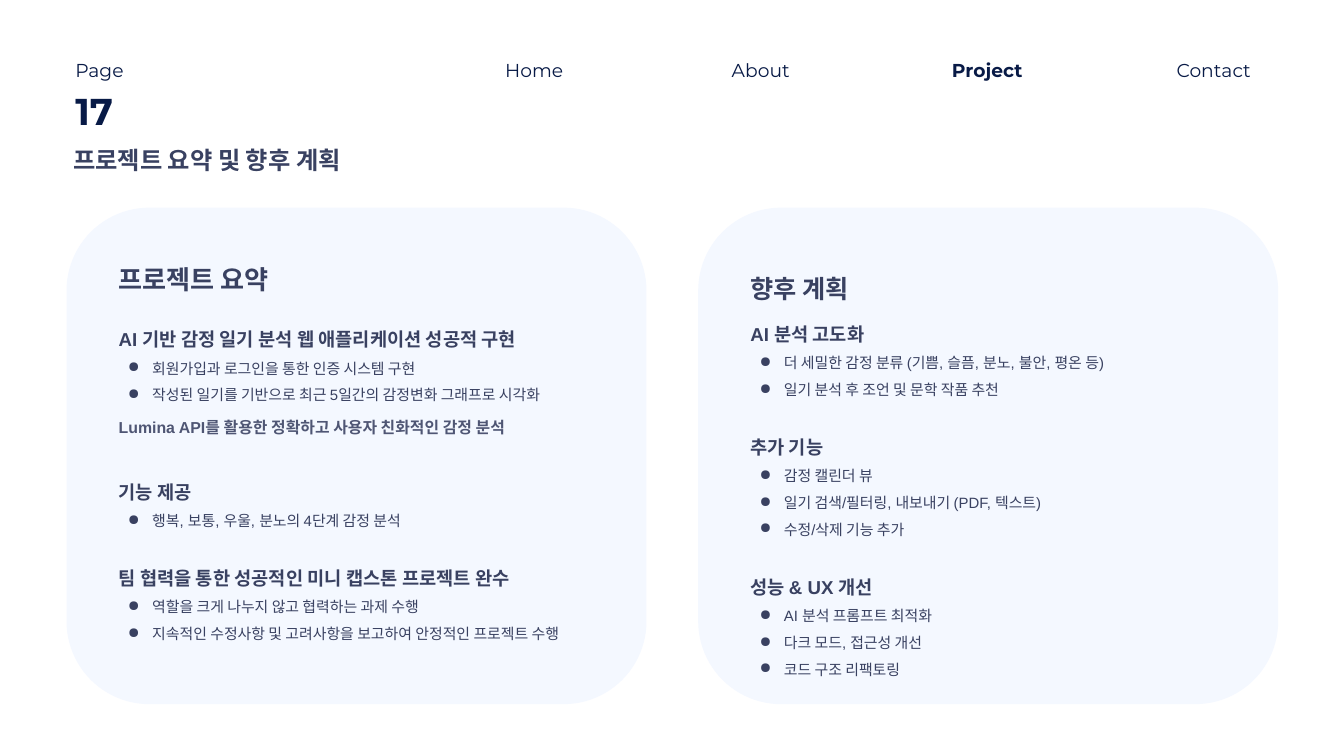
from dataclasses import dataclass

from lxml import etree
from pptx import Presentation
from pptx.dml.color import RGBColor
from pptx.enum.shapes import MSO_SHAPE
from pptx.enum.text import MSO_AUTO_SIZE, PP_ALIGN
from pptx.oxml.ns import qn
from pptx.util import Pt

ROUNDED = MSO_SHAPE.ROUNDED_RECTANGLE
GROW = MSO_AUTO_SIZE.SHAPE_TO_FIT_TEXT
LEFT, CENTER = PP_ALIGN.LEFT, PP_ALIGN.CENTER

NAVY = RGBColor(0x08, 0x1A, 0x46)
SLATE = RGBColor(0x39, 0x41, 0x61)
MUTED = RGBColor(0x4F, 0x56, 0x74)
PANEL_FILL = RGBColor(0xF4, 0xF8, 0xFF)

LATIN, BODY = "Montserrat", "Arial"
MENU = ["Home", "About", "Project", "Contact"]
CURRENT_PAGE = "Project"


@dataclass
class Topic:
    """A bold heading with its bullets and the gap above it."""
    heading: str
    bullets: list
    gap: float = 0
    size: float = 20
    color: RGBColor = SLATE


@dataclass
class Panel:
    """A panel title, its placement and the topics below it."""
    title: str
    title_size: float
    title_spacing: float
    title_top: float
    topics_top: float
    topics: list


SUMMARY = Panel("프로젝트 요약", 28, 1, 53.3, 110.2, [
    Topic("AI 기반 감정 일기 분석 웹 애플리케이션 성공적 구현", [
        "회원가입과 로그인을 통한 인증 시스템 구현",
        "작성된 일기를 기반으로 최근 5일간의 감정변화 그래프로 시각화",
    ]),
    Topic("Lumina API를 활용한 정확하고 사용자 친화적인 감정 분석", [], 5, 17, MUTED),
    Topic("기능 제공", ["행복, 보통, 우울, 분노의 4단계 감정 분석"], 34.5),
    Topic("팀 협력을 통한 성공적인 미니 캡스톤 프로젝트 완수", [
        "역할을 크게 나누지 않고 협력하는 과제 수행",
        "지속적인 수정사항 및 고려사항을 보고하여 안정적인 프로젝트 수행",
    ], 27.6),
])

PLANS = Panel("향후 계획", 27, 1.5, 47.5, 104.4, [
    Topic("AI 분석 고도화", [
        "더 세밀한 감정 분류 (기쁨, 슬픔, 분노, 불안, 평온 등)",
        "일기 분석 후 조언 및 문학 작품 추천",
    ]),
    Topic("추가 기능", [
        "감정 캘린더 뷰",
        "일기 검색/필터링, 내보내기 (PDF, 텍스트)",
        "수정/삭제 기능 추가",
    ], 27.6),
    Topic("성능 & UX 개선", [
        "AI 분석 프롬프트 최적화",
        "다크 모드, 접근성 개선",
        "코드 구조 리팩토링",
    ], 27.6),
])


def add_frame(slide, left, top, width, height, inset_x=0, inset_y=0):
    """Add a wrapping text box and return its text frame."""
    frame = slide.shapes.add_textbox(Pt(left), Pt(top), Pt(width), Pt(height)).text_frame
    frame.word_wrap = True
    frame.auto_size = GROW
    frame.margin_left = frame.margin_right = Pt(inset_x)
    frame.margin_top = frame.margin_bottom = Pt(inset_y)
    return frame


def write(paragraph, text, size, color, font=BODY, bold=True, spacing=1.5, align=LEFT):
    """Write one styled run into a paragraph."""
    paragraph.alignment = align
    paragraph.line_spacing = spacing
    run = paragraph.add_run()
    run.text = text
    run.font.name = font
    run.font.size = Pt(size)
    run.font.bold = bold
    run.font.color.rgb = color


def add_bullet(paragraph):
    """Give a paragraph a hanging round bullet."""
    properties = paragraph._p.get_or_add_pPr()
    properties.set("marL", str(Pt(36)))
    properties.set("indent", str(-Pt(26)))
    bullet_color = etree.SubElement(properties, qn("a:buClr"))
    etree.SubElement(bullet_color, qn("a:srgbClr"), val=str(SLATE))
    etree.SubElement(properties, qn("a:buChar"), char="●")


def draw_header(slide, left, top, right):
    """Draw the page number, the menu and the slide title."""
    page_label = add_frame(slide, left, top, 101.5, 24.5)
    write(page_label.paragraphs[0], "Page", 20, NAVY, LATIN, False, 1.4)
    page_number = add_frame(slide, left, top + 21.6, 101.5, 48.2)
    write(page_number.paragraphs[0], "17", 40, NAVY, LATIN, True, 1.4)
    title = add_frame(slide, left - 2.2, top + 81.4, 409, 31.7)
    write(title.paragraphs[0], "프로젝트 요약 및 향후 계획", 26, SLATE, spacing=1.65)

    item_width, pitch = 116.64, 242.64
    first = right - item_width - pitch * (len(MENU) - 1)
    for index, item in enumerate(MENU):
        entry = add_frame(slide, first + index * pitch, top, item_width, 24.5)
        write(entry.paragraphs[0], item, 20, NAVY, LATIN, item == CURRENT_PAGE, 1.4, CENTER)


def draw_panel(slide, left, top, width, height, panel):
    """Draw a rounded panel with its title and topics."""
    card = slide.shapes.add_shape(ROUNDED, Pt(left), Pt(top), Pt(width), Pt(height))
    card.adjustments[0] = 0.167
    card.shadow.inherit = False
    card.fill.solid()
    card.fill.fore_color.rgb = PANEL_FILL
    card.line.fill.background()

    text_left, text_width = left + 42.8, width - 85.6
    title = add_frame(slide, text_left, top + panel.title_top, 388, 46, 13, 6.5)
    write(title.paragraphs[0], panel.title, panel.title_size, SLATE, spacing=panel.title_spacing)

    topics_height = height - panel.topics_top - 36
    body = add_frame(slide, text_left, top + panel.topics_top, text_width, topics_height, 13, 6.5)
    for index, topic in enumerate(panel.topics):
        heading = body.add_paragraph() if index else body.paragraphs[0]
        if topic.gap:
            heading.space_before = Pt(topic.gap)
        write(heading, topic.heading, topic.size, topic.color)
        for text in topic.bullets:
            bullet = body.add_paragraph()
            add_bullet(bullet)
            write(bullet, text, 16, SLATE, bold=False)


def main():
    """Build the slide and save it."""
    deck = Presentation()
    deck.slide_width, deck.slide_height = Pt(1440), Pt(810)
    slide = deck.slides.add_slide(deck.slide_layouts[6])
    draw_header(slide, 80.64, 54, 1358.64)
    for left, panel in ((71.3, SUMMARY), (748.1, PLANS)):
        draw_panel(slide, left, 222.5, 621.4, 532, panel)
    deck.save("out.pptx")


if __name__ == "__main__":
    main()
